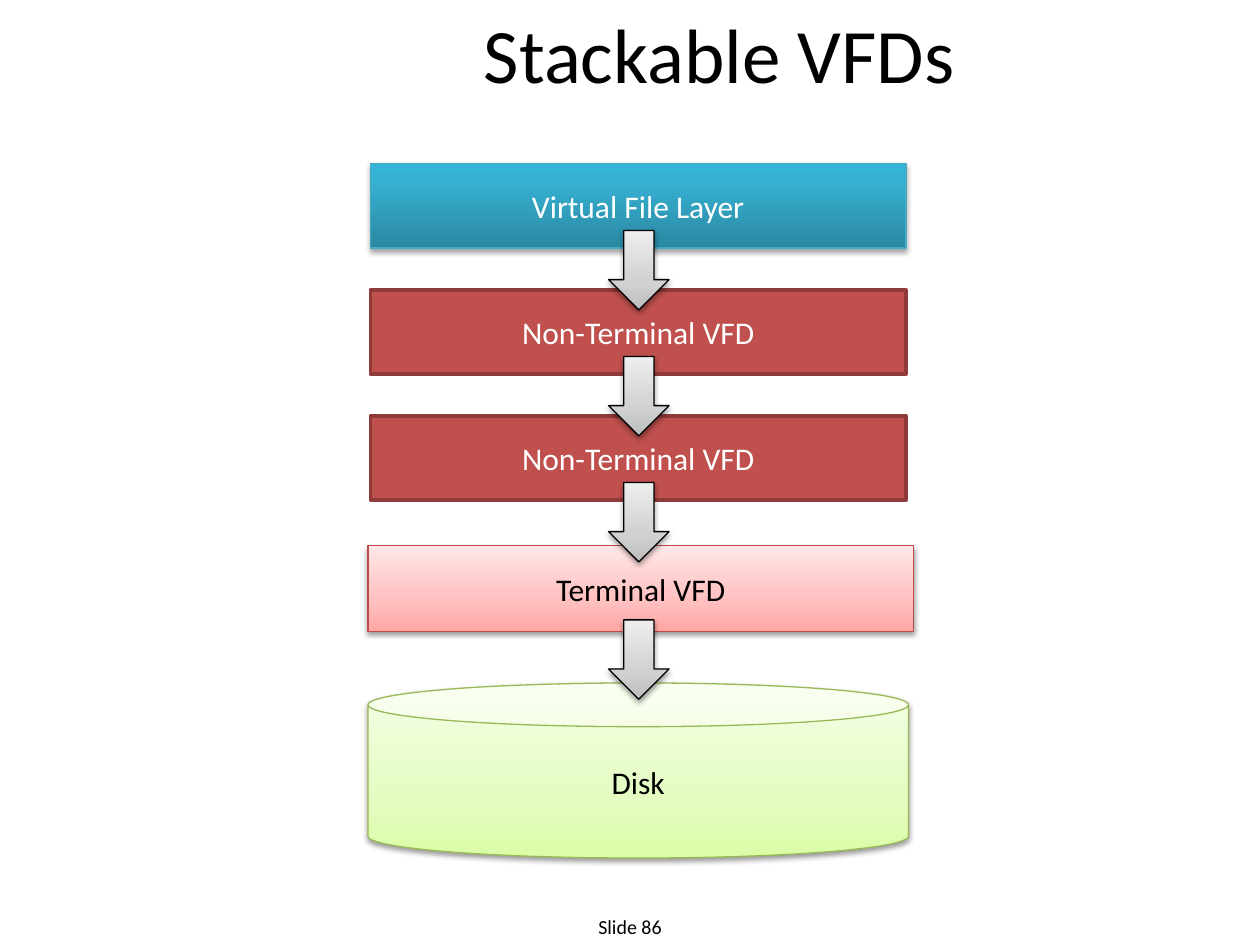
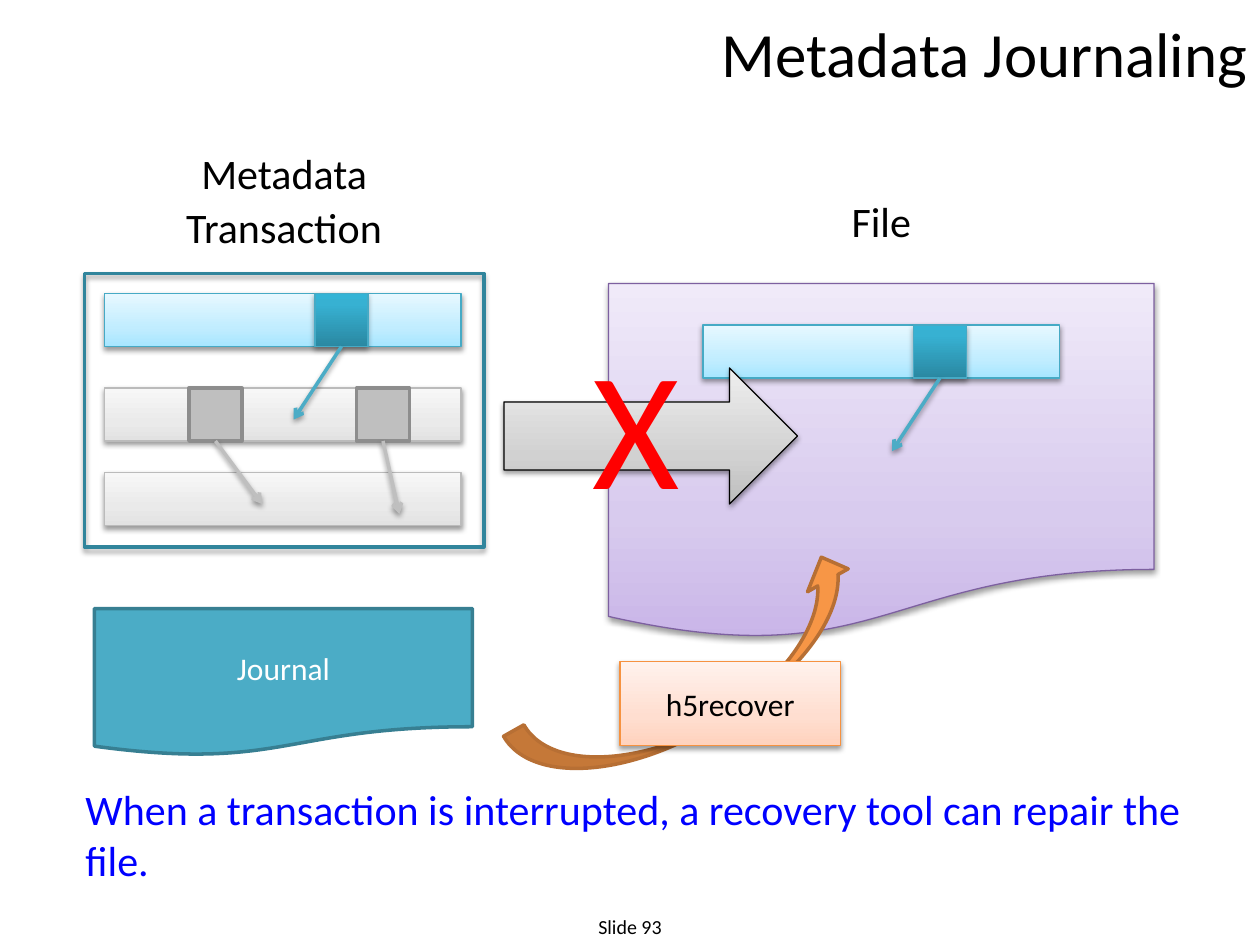
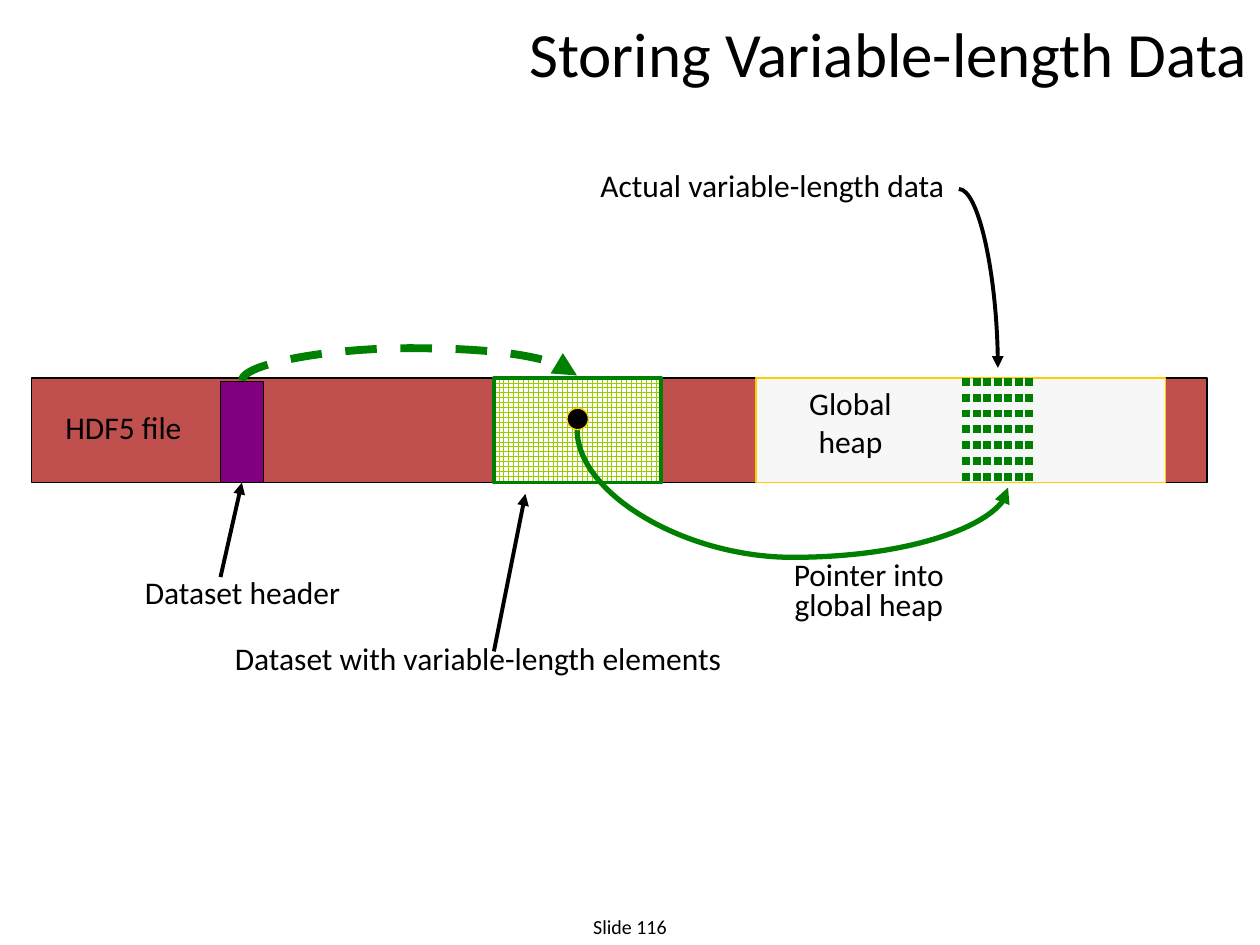
from lxml import etree
from pptx import Presentation
from pptx.dml.color import RGBColor
from pptx.enum.dml import MSO_LINE, MSO_PATTERN
from pptx.enum.shapes import MSO_CONNECTOR, MSO_SHAPE
from pptx.enum.text import MSO_ANCHOR, PP_ALIGN
from pptx.oxml.ns import qn
from pptx.util import Inches, Pt

RECTANGLE, OVAL, CAN = MSO_SHAPE.RECTANGLE, MSO_SHAPE.OVAL, MSO_SHAPE.CAN
DOWN_ARROW, RIGHT_ARROW = MSO_SHAPE.DOWN_ARROW, MSO_SHAPE.RIGHT_ARROW
CURVED_UP_ARROW, DOCUMENT = MSO_SHAPE.CURVED_UP_ARROW, MSO_SHAPE.FLOWCHART_DOCUMENT
STRAIGHT, CURVE = MSO_CONNECTOR.STRAIGHT, MSO_CONNECTOR.CURVE
DASH, DOTS = MSO_LINE.DASH, MSO_LINE.ROUND_DOT
LARGE_GRID = MSO_PATTERN.LARGE_GRID
LEFT, CENTER, RIGHT = PP_ALIGN.LEFT, PP_ALIGN.CENTER, PP_ALIGN.RIGHT
MIDDLE = MSO_ANCHOR.MIDDLE

FONT = "Calibri"
BLACK, WHITE, RED, BLUE = "000000", "FFFFFF", "FF0000", "0000FF"
BRICK, GREEN, GOLD, TEAL, SILVER = "C0504D", "008000", "FFCC00", "4BACC6", "BFBFBF"
TITLE_BOX = (1.42, 0, 8.58, 0.83)
FOOTER_BOX = (4, 7.25, 2, 0.25)
SOFT_SHADOW = (38, 1.6)
STRONG_SHADOW = (35, 1.8)
SHADOW_BLUR = 3.1


def soft(bottom, middle, top, line):
    """Return a pale vertical gradient style with a thin outline."""
    return {"fill": ((0, bottom), (35, middle), (100, top)), "line": line, "shadow": SOFT_SHADOW}


STYLES = {
    "teal": {"fill": ((0, "2A88A2"), (80, "37B1D2"), (100, "34B4D6")), "line": "46AAC5",
             "shadow": STRONG_SHADOW, "text": WHITE},
    "brick": {"fill": BRICK, "line": "8E3B39", "width": 2, "text": WHITE},
    "pink": soft("FFA6A5", "FFC0BF", "FFE7E7", "BF4C48"),
    "lime": soft("DAFDA7", "E4FCC2", "F5FFE7", "98B955"),
    "gray": soft("BDBDBD", "D1D1D1", "EEEEEE", BLACK),
    "violet": soft("C9B5E8", "D8CBEE", "F0EAF9", "7D60A0"),
    "sky": soft("A7E6FF", "C1EDFF", "E7F8FF", "46AAC5"),
    "pale gray": soft("E2E2E2", "EAEAEA", "F7F7F7", "BBBBBB"),
    "peach": soft("FFD2BD", "FFDED0", "FFF2ED", "F69240"),
    "silver": {"fill": SILVER, "line": "8D8D8D", "width": 2},
    "frame": {"fill": None, "line": "31859C", "width": 2, "shadow": STRONG_SHADOW},
    "journal": {"fill": TEAL, "line": "377F92", "width": 2, "text": WHITE},
    "orange": {"fill": "F79646", "line": "B76F34", "width": 2},
    "file": {"fill": BRICK, "line": BLACK},
    "heap": {"fill": "F7F7F7", "line": GOLD},
    "dataset": {"fill": WHITE, "line": GREEN, "width": 2.25},
    "header": {"fill": "800080", "line": BLACK},
    "dot": {"fill": BLACK, "line": GOLD},
}


def set_values(target, values):
    """Set each named attribute of the target."""
    for name, value in values.items():
        setattr(target, name, value)


def paint(color, value):
    """Give a colour format its hex colour."""
    color.rgb = RGBColor.from_string(value)


def add_element(parent, tag, **attributes):
    """Append a drawing element and return it."""
    element = etree.SubElement(parent, qn("a:" + tag))
    for name, value in attributes.items():
        element.set(name, str(value))
    return element


def fill_gradient(shape, stops):
    """Fill a shape with colour stops that run from bottom to top."""
    shape.fill.gradient()
    shape.fill.gradient_angle = 90
    stop_list = shape._element.spPr.find(".//" + qn("a:gsLst"))
    for stop in list(stop_list):
        stop_list.remove(stop)
    for position, color in stops:
        add_element(add_element(stop_list, "gs", pos=position * 1000), "srgbClr", val=color)


def set_shadow(shape, shadow):
    """Replace the theme shadow with a downward one, or with none."""
    effects = add_element(shape._element.spPr, "effectLst")
    if shadow:
        opacity, distance = shadow
        outer = add_element(effects, "outerShdw", blurRad=Pt(SHADOW_BLUR), dist=Pt(distance),
                            dir=5400000, rotWithShape=0)
        add_element(add_element(outer, "srgbClr", val=BLACK), "alpha", val=opacity * 1000)


def write(frame, paragraphs, size=18, color=BLACK, alignment=CENTER, spacing=None):
    """Write formatted paragraphs into a text frame."""
    for index, text in enumerate(paragraphs):
        paragraph = frame.add_paragraph() if index else frame.paragraphs[0]
        paragraph.text = text
        set_values(paragraph, {"alignment": alignment, "line_spacing": spacing})
        if index:
            paragraph.space_before = Pt(size * 0.2)
        set_values(paragraph.font, {"name": FONT, "size": Pt(size)})
        paint(paragraph.font.color, color)


def add_label(slide, box, *paragraphs, wrap=True, **text_format):
    """Add a text box with the given paragraphs."""
    frame = slide.shapes.add_textbox(*map(Inches, box)).text_frame
    frame.word_wrap = wrap
    write(frame, paragraphs, **text_format)


def add_block(slide, kind, box, style_name, text=None):
    """Add a preset shape in a named style."""
    style = STYLES[style_name]
    shape = slide.shapes.add_shape(kind, *map(Inches, box))
    fill = style["fill"]
    if fill is None:
        shape.fill.background()
    elif isinstance(fill, str):
        shape.fill.solid()
        paint(shape.fill.fore_color, fill)
    else:
        fill_gradient(shape, fill)
    paint(shape.line.color, style["line"])
    shape.line.width = Pt(style.get("width", 0.75))
    set_shadow(shape, style.get("shadow"))
    if text:
        shape.text_frame.vertical_anchor = MIDDLE
        write(shape.text_frame, [text], color=style.get("text", BLACK))
    return shape


def add_line(shapes, start, end, color, width, kind=STRAIGHT, head=None, dash=None, shadow=None):
    """Add a connector, optionally dashed and with an arrowhead at its end."""
    connector = shapes.add_connector(kind, *map(Inches, (*start, *end)))
    paint(connector.line.color, color)
    set_values(connector.line, {"width": Pt(width), "dash_style": dash})
    if head:
        add_element(connector.line._get_or_add_ln(), "tailEnd", type=head)
    set_shadow(connector, shadow)
    return connector


def bend(connector, preset, turned=False, adjustment=None):
    """Choose the curve preset, a quarter turn and the bulge of a connector."""
    properties = connector._element.spPr
    geometry = properties.find(qn("a:prstGeom"))
    geometry.set("prst", preset)
    if turned:
        properties.find(qn("a:xfrm")).set("rot", "16200000")
    if adjustment:
        guides = geometry.find(qn("a:avLst"))
        add_element(guides, "gd", name="adj1", fmla=f"val {round(adjustment * 100000)}")


def add_slide(presentation, title, number, size=36, alignment=RIGHT):
    """Add a slide with its title and numbered footer."""
    slide = presentation.slides.add_slide(presentation.slide_layouts[5])
    left, top, width, height = map(Inches, TITLE_BOX)
    set_values(slide.shapes.title, {"left": left, "top": top, "width": width, "height": height})
    frame = slide.shapes.title.text_frame
    frame.vertical_anchor = MIDDLE
    write(frame, [title], size=size, alignment=alignment)
    add_label(slide, FOOTER_BOX, f"Slide {number}", size=11.4, spacing=0.8)
    return slide


def draw_driver_stack(slide, left, top):
    """Draw the stacked drivers and the arrows that link them."""
    layers = [
        ("Virtual File Layer", RECTANGLE, "teal", (0.02, 0, 4.25, 0.67)),
        ("Non-Terminal VFD", RECTANGLE, "brick", (0.02, 1, 4.25, 0.67)),
        ("Non-Terminal VFD", RECTANGLE, "brick", (0.02, 2, 4.25, 0.67)),
        ("Terminal VFD", RECTANGLE, "pink", (0, 3.03, 4.33, 0.68)),
        ("Disk", CAN, "lime", (0, 4.12, 4.29, 1.39)),
    ]
    for text, kind, style, (x, y, width, height) in layers:
        add_block(slide, kind, (left + x, top + y, width, height), style, text)
    for y in (0.53, 1.53, 2.53, 3.62):
        add_block(slide, DOWN_ARROW, (left + 1.91, top + y, 0.48, 0.63), "gray")


def draw_record(slide, left, top, bar, cell=None, pointer=None, entries=()):
    """Draw a metadata bar with cells and a pointer leaving each cell."""
    side = 0.42
    add_block(slide, RECTANGLE, (left, top, 2.83, side), bar)
    for offset, run, drop in entries:
        add_block(slide, RECTANGLE, (left + offset, top, side, side), cell)
        start = (left + offset + side / 2, top + side)
        add_line(slide.shapes, start, (start[0] + run, start[1] + drop), pointer, 2,
                 head="arrow", shadow=SOFT_SHADOW)


def draw_changed_record(slide, left, top):
    """Draw the record that the transaction writes to the file."""
    draw_record(slide, left, top, "sky", "teal", TEAL, [(1.67, -0.38, 0.58)])


def draw_transaction(slide, left, top):
    """Draw the framed transaction with its caption and three records."""
    add_label(slide, (left, top - 1, 3.17, 0.92), "Metadata", "Transaction", size=24, spacing=0.9)
    draw_record(slide, left + 0.16, top + 1.58, "pale gray")
    draw_record(slide, left + 0.16, top + 0.91, "pale gray", "silver", SILVER,
                [(0.67, 0.37, 0.5), (2, 0.13, 0.58)])
    draw_changed_record(slide, left + 0.16, top + 0.16)
    add_block(slide, RECTANGLE, (left, top, 3.17, 2.17), "frame")


def draw_file(slide, left, top):
    """Draw the file with its caption and the record it receives."""
    add_block(slide, DOCUMENT, (left, top, 4.33, 2.83), "violet")
    add_label(slide, (left, top - 0.75, 4.33, 0.58), "File", size=24)
    draw_changed_record(slide, left + 0.75, top + 0.33)


def draw_failed_write(slide, left, top):
    """Draw the crossed-out arrow from transaction to file."""
    add_block(slide, RIGHT_ARROW, (left, top, 2.33, 1.08), "gray")
    add_label(slide, (left + 0.17, top - 0.42, 1.75, 1.75), "X", size=96, color=RED)


def draw_recovery(slide, left, top):
    """Draw the journal and the recovery tool that replays it."""
    add_block(slide, DOCUMENT, (left, top, 3, 1.17), "journal", "Journal")
    arrow = add_block(slide, CURVED_UP_ARROW, (left + 3.23, top + 0.21, 3.08, 0.74), "orange")
    arrow.rotation = 330.6
    add_block(slide, RECTANGLE, (left + 4.17, top + 0.42, 1.75, 0.67), "peach", "h5recover")


def draw_file_strip(slide, left, top):
    """Draw the file layout: header, dataset and global heap."""
    height = 0.83
    add_block(slide, RECTANGLE, (left, top, 9.33, height), "file")
    add_block(slide, RECTANGLE, (left + 5.75, top, 3.25, height), "heap")
    dots = slide.shapes.add_group_shape().shapes
    for index in range(7):
        x = left + 7.42 + index / 12
        add_line(dots, (x, top), (x, top + height), GREEN, 4.5, dash=DOTS)
    dataset = add_block(slide, RECTANGLE, (left + 3.67, top, 1.33, height), "dataset")
    dataset.fill.patterned()
    dataset.fill.pattern = LARGE_GRID
    paint(dataset.fill.fore_color, "99CC00")
    paint(dataset.fill.back_color, WHITE)
    add_block(slide, RECTANGLE, (left + 1.5, top + 0.03, 0.34, 0.8), "header")
    add_label(slide, (left + 6, top, 1, 0.71), "Global heap")
    add_label(slide, (left + 0.16, top + 0.25, 1.14, 0.35), "HDF5 file", wrap=False, spacing=0.8)


def draw_strip_notes(slide, left, top):
    """Draw the labels around the file strip and their arrows."""
    notes = [
        ("Actual variable-length data", (4.4, -1.67, 2.96, 0.34), False, 0.8),
        ("Dataset with variable-length elements", (1.42, 2.08, 4.25, 0.34), True, 0.8),
        ("Pointer into\nglobal heap", (5.94, 1.41, 1.41, 0.59), False, 0.8),
        ("Dataset header", (0.79, 1.5, 1.77, 0.4), False, None),
    ]
    for text, (x, y, width, height), wrap, spacing in notes:
        add_label(slide, (left + x, top + y, width, height), text, wrap=wrap, spacing=spacing)
    for x, y, end_x, end_y in ((1.5, 1.58, 1.67, 0.83), (3.67, 2.17, 3.92, 0.92)):
        add_line(slide.shapes, (left + x, top + y), (left + end_x, top + end_y), BLACK, 2.25,
                 head="triangle")


def draw_strip_pointers(slide, left, top):
    """Draw the curved arrows between header, dataset and heap."""
    curves = [
        ((7.36, -1.5), (7.67, -0.08), BLACK, 2.25, None, "curvedConnector2", False, None),
        ((6.27, -1.07), (5.81, 2.35), GREEN, 3, None, "curvedConnector3", True, 2.205),
        ((2.98, -1.33), (3.02, 1.33), GREEN, 4.5, DASH, "curvedConnector3", True, 6.4),
    ]
    for start, end, color, width, dash, preset, turned, adjustment in curves:
        connector = add_line(slide.shapes, (left + start[0], top + start[1]),
                             (left + end[0], top + end[1]), color, width, CURVE, "triangle", dash)
        bend(connector, preset, turned, adjustment)
    add_block(slide, OVAL, (left + 4.25, top + 0.24, 0.17, 0.17), "dot")


def main():
    """Build the three slides and save them."""
    presentation = Presentation()
    set_values(presentation, {"slide_width": Inches(10), "slide_height": Inches(7.5)})

    stack_slide = add_slide(presentation, "Stackable VFDs", 86, size=44, alignment=CENTER)
    draw_driver_stack(stack_slide, 2.92, 1.3)

    journal_slide = add_slide(presentation, "Metadata Journaling", 93)
    draw_file(journal_slide, 4.83, 2.25)
    draw_transaction(journal_slide, 0.67, 2.17)
    draw_failed_write(journal_slide, 4, 2.92)
    draw_recovery(journal_slide, 0.75, 4.83)
    add_label(journal_slide, (0.58, 6.17, 9.08, 0.92),
              "When a transaction is interrupted, a recovery tool can repair the file.",
              size=24, color=BLUE, alignment=LEFT)

    storage_slide = add_slide(presentation, "Storing Variable-length Data", 116)
    draw_file_strip(storage_slide, 0.25, 3)
    draw_strip_notes(storage_slide, 0.25, 3)
    draw_strip_pointers(storage_slide, 0.25, 3)

    presentation.save("out.pptx")


if __name__ == "__main__":
    main()
